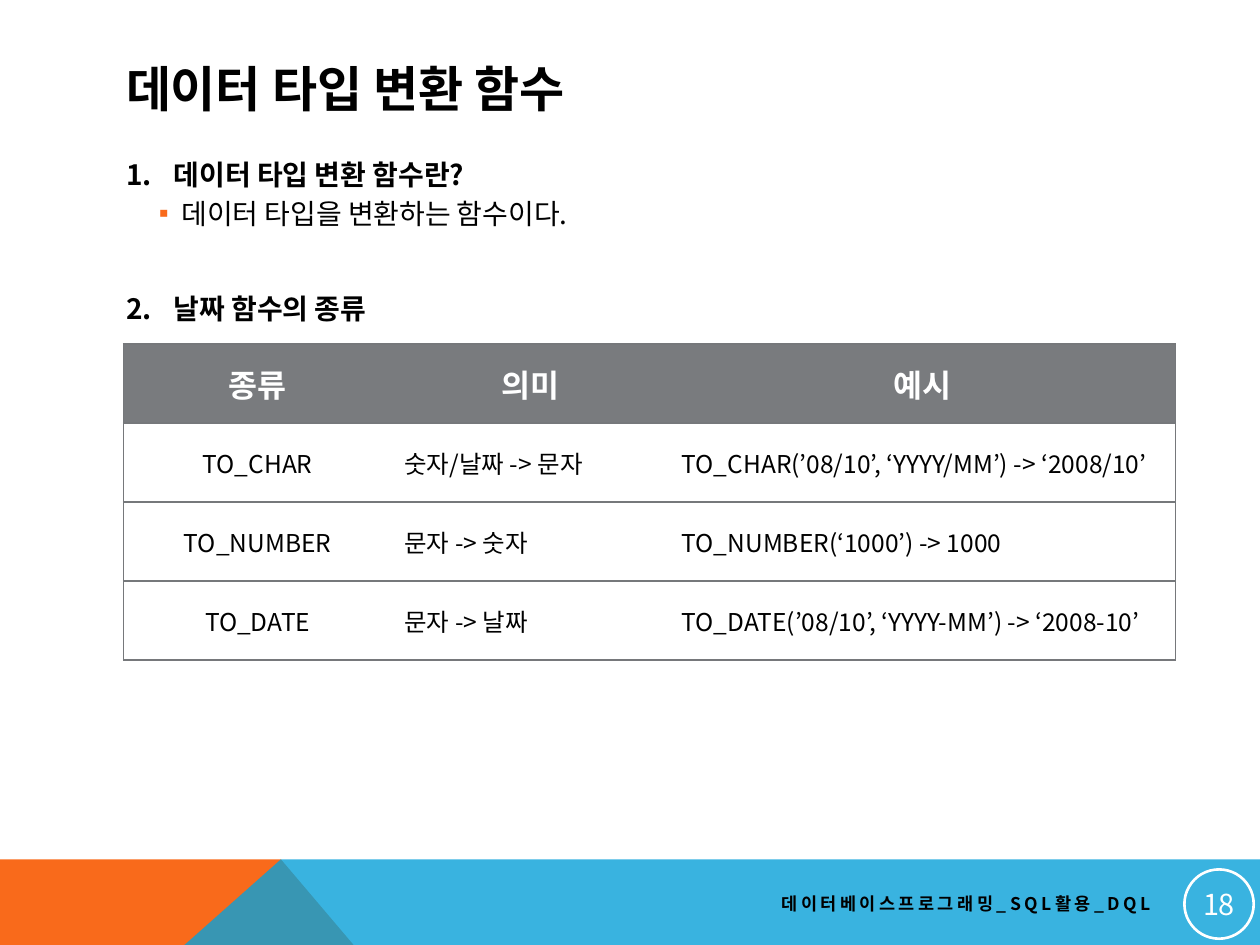
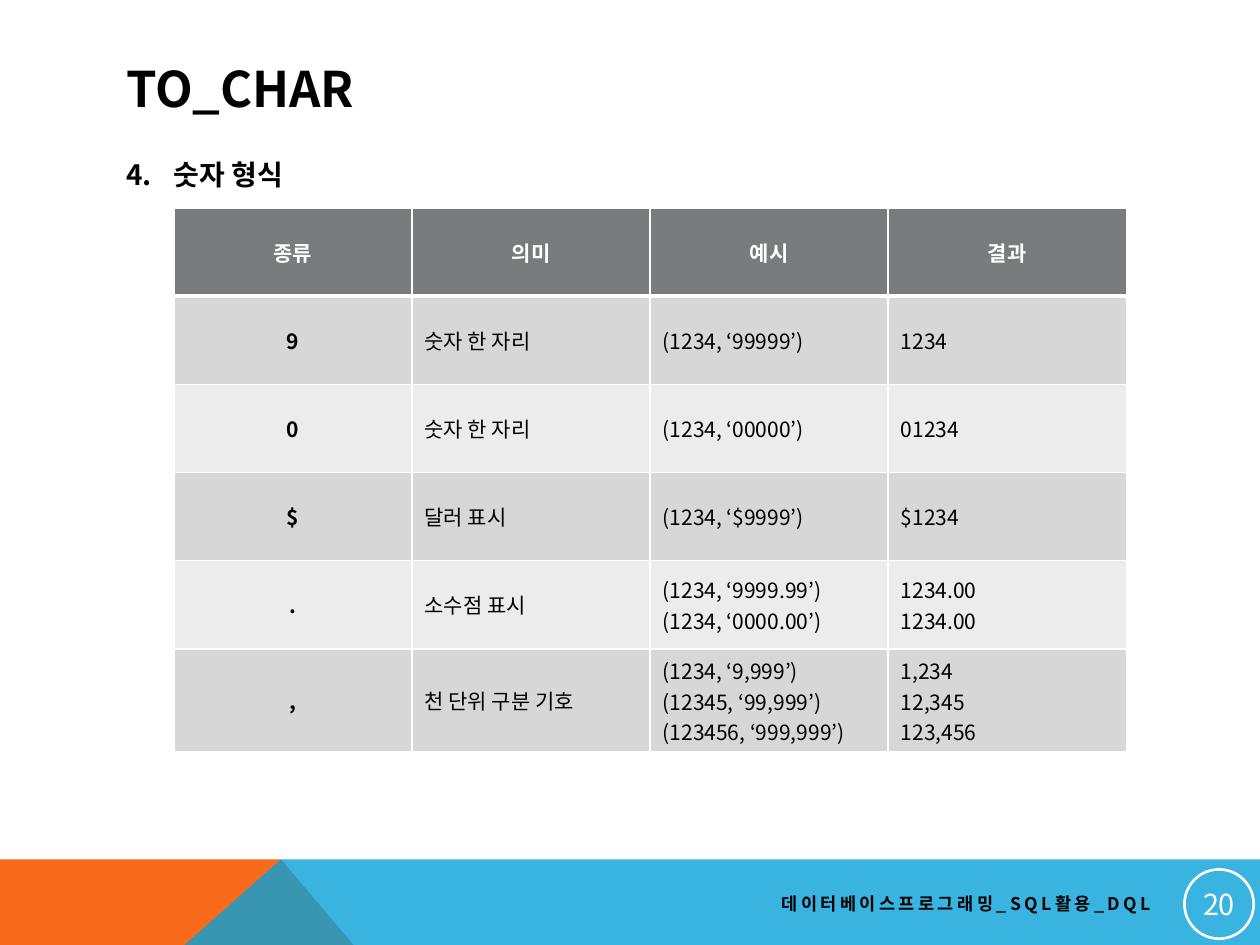
from pptx import Presentation
from pptx.dml.color import RGBColor
from pptx.enum.shapes import MSO_SHAPE
from pptx.enum.text import MSO_ANCHOR, MSO_AUTO_SIZE, PP_ALIGN
from pptx.oxml.ns import qn
from pptx.util import Inches, Pt
from lxml import etree

LEFT, CENTER, RIGHT = PP_ALIGN.LEFT, PP_ALIGN.CENTER, PP_ALIGN.RIGHT
MIDDLE, TOP = MSO_ANCHOR.MIDDLE, MSO_ANCHOR.TOP
FIXED = MSO_AUTO_SIZE.NONE
OVAL = MSO_SHAPE.OVAL

FONT = "Noto Sans CJK KR"
BLACK = RGBColor(0x00, 0x00, 0x00)
WHITE = RGBColor(0xFF, 0xFF, 0xFF)
ORANGE = RGBColor(0xF9, 0x6A, 0x1B)
BLUE = RGBColor(0x08, 0xA1, 0xD9)
HEADER_GREY = RGBColor(0x79, 0x7B, 0x7E)
RULE_GREY = RGBColor(0x76, 0x78, 0x7B)
BAND_DARK = RGBColor(0xD7, 0xD7, 0xD8)
BAND_LIGHT = RGBColor(0xEC, 0xEC, 0xEC)

WIDTH, HEIGHT = 10, 7.5
MARGIN, CONTENT_WIDTH = 0.9, 8.22
BAND_TOP, BAND_BOTTOM = 6.82, 8.8
PEAK, ORANGE_FOOT = 2.23, 3.91
LINE_SPACING = 1.0
EDGES = ("L", "R", "T", "B")
FOOTER = "데이터베이스프로그래밍_SQL활용_DQL"

CONVERSIONS = [
    ("종류", "의미", "예시"),
    ("TO_CHAR", "숫자/날짜 -> 문자", "TO_CHAR(’08/10’, ‘YYYY/MM’) -> ‘2008/10’"),
    ("TO_NUMBER", "문자 -> 숫자", "TO_NUMBER(‘1000’) -> 1000"),
    ("TO_DATE", "문자 -> 날짜", "TO_DATE(’08/10’, ‘YYYY-MM’) -> ‘2008-10’"),
]
NUMBER_FORMATS = [
    ("종류", "의미", "예시", "결과"),
    ("9", "숫자 한 자리", "(1234, ‘99999’)", "1234"),
    ("0", "숫자 한 자리", "(1234, ‘00000’)", "01234"),
    ("$", "달러 표시", "(1234, ‘$9999’)", "$1234"),
    (".", "소수점 표시", "(1234, ‘9999.99’)\n(1234, ‘0000.00’)", "1234.00\n1234.00"),
    (",", "천 단위 구분 기호",
     "(1234, ‘9,999’)\n(12345, ‘99,999’)\n(123456, ‘999,999’)",
     "1,234\n12,345\n123,456"),
]


def add_child(parent, tag, **attributes):
    return etree.SubElement(parent, qn(tag), attributes)


def set_font(paragraph, size, color=BLACK, bold=False, align=LEFT):
    paragraph.alignment = align
    font = paragraph.font
    font.size, font.bold, font.name = Pt(size), bold, FONT
    font.color.rgb = color
    properties = paragraph._p.get_or_add_pPr().get_or_add_defRPr()
    add_child(properties, "a:ea", typeface=FONT)
    return properties


def place(shape, left, top, width, height):
    shape.left, shape.top = Inches(left), Inches(top)
    shape.width, shape.height = Inches(width), Inches(height)


def add_band(slide, points, color):
    corners = [(Inches(x), Inches(y)) for x, y in points]
    builder = slide.shapes.build_freeform(*corners[0])
    builder.add_line_segments(corners[1:])
    band = builder.convert_to_shape()
    band.shadow.inherit = False
    band.fill.solid()
    band.fill.fore_color.rgb = color
    band.line.fill.background()
    return band


def add_layout_bands(slide):
    orange = add_band(slide, [(0, BAND_BOTTOM), (0, BAND_TOP), (PEAK, BAND_TOP),
                              (ORANGE_FOOT, BAND_BOTTOM)], ORANGE)
    blue = add_band(slide, [(0, BAND_BOTTOM), (PEAK, BAND_TOP), (WIDTH, BAND_TOP),
                            (WIDTH, BAND_BOTTOM)], BLUE)
    add_child(blue._element.spPr.find(".//" + qn("a:srgbClr")), "a:alpha", val="80000")
    layout_tree = slide.slide_layout.element.cSld.spTree
    for position, band in enumerate((orange, blue), 2):
        layout_tree.insert(position, band._element)


def add_title(slide, text):
    title = slide.shapes.title
    place(title, MARGIN, 0.4, CONTENT_WIDTH, 0.6)
    title.text_frame.text = text
    title.text_frame.vertical_anchor = MIDDLE
    title.text_frame.auto_size = FIXED
    set_font(title.text_frame.paragraphs[0], 28, bold=True)


def add_footer(slide, number):
    footer = slide.shapes.add_textbox(0, 0, 0, 0)
    place(footer, 4.06, 7.02, 5.17, 0.3)
    frame = footer.text_frame
    frame.word_wrap = True
    frame.vertical_anchor = MIDDLE
    frame.text = FOOTER
    set_font(frame.paragraphs[0], 10, bold=True, align=RIGHT).set("spc", "200")

    badge = slide.shapes.add_shape(OVAL, Inches(9.4), Inches(6.9), Inches(0.55), Inches(0.55))
    badge.shadow.inherit = False
    badge.fill.background()
    badge.line.color.rgb = WHITE
    badge.line.width = Pt(1.5)
    frame = badge.text_frame
    frame.margin_left = frame.margin_right = Inches(0.01)
    frame.margin_top = frame.margin_bottom = Inches(0.01)
    frame.vertical_anchor = MIDDLE
    frame.text = str(number)
    set_font(frame.paragraphs[0], 16.5, WHITE, align=CENTER)


def set_indent(paragraph, left, hanging):
    properties = paragraph._p.get_or_add_pPr()
    properties.set("marL", str(Inches(left)))
    properties.set("indent", str(-Inches(hanging)))
    return properties


def number_heading(paragraph, start):
    properties = set_indent(paragraph, 0.38, 0.38)
    numbering = add_child(properties, "a:buAutoNum", type="arabicPeriod")
    if start > 1:
        numbering.set("startAt", str(start))


def bullet_detail(paragraph):
    paragraph.level = 1
    properties = set_indent(paragraph, 0.44, 0.18)
    add_child(add_child(properties, "a:buClr"), "a:srgbClr", val=str(ORANGE))
    add_child(properties, "a:buChar", char="▪")


def add_outline(slide, height, entries, start=1):
    body = slide.placeholders[1]
    place(body, MARGIN, 1.2, CONTENT_WIDTH, height)
    frame = body.text_frame
    frame.text = "\n".join(text for text, _, _ in entries)
    frame.vertical_anchor = TOP
    frame.auto_size = FIXED
    for paragraph, (_, is_heading, gap) in zip(frame.paragraphs, entries):
        if is_heading:
            number_heading(paragraph, start)
        else:
            bullet_detail(paragraph)
        paragraph.line_spacing = LINE_SPACING
        paragraph.space_before = Pt(gap)
        set_font(paragraph, 16, bold=is_heading)


def set_borders(cell, borders):
    properties = cell._tc.get_or_add_tcPr()
    for position, edge in enumerate(EDGES):
        color, width = borders.get(edge, (None, 0))
        line = etree.Element(qn("a:ln" + edge), w=str(Pt(width)))
        if color is None:
            add_child(line, "a:noFill")
        else:
            add_child(add_child(line, "a:solidFill"), "a:srgbClr", val=str(color))
        properties.insert(position, line)


def framed_borders(row, column, last_column):
    rule = (RULE_GREY, 0.75)
    borders = {"T": rule, "B": rule}
    if column == 0:
        borders["L"] = rule
    if column == last_column:
        borders["R"] = rule
    return borders


def grid_borders(row, column, last_column):
    borders = {edge: (WHITE, 1) for edge in EDGES}
    if row == 0:
        borders["B"] = (WHITE, 3)
    elif row == 1:
        borders["T"] = (WHITE, 3)
    return borders


def add_grid(slide, rows, left, top, widths, heights, sizes, bands, borders, bold_first):
    frame = slide.shapes.add_table(len(rows), len(widths), Inches(left), Inches(top),
                                   Inches(sum(widths)), Inches(sum(heights)))
    table = frame.table
    table.horz_banding = False
    for column, width in zip(table.columns, widths):
        column.width = Inches(width)
    for r, (texts, height) in enumerate(zip(rows, heights)):
        table.rows[r].height = Inches(height)
        is_header = r == 0
        fill = HEADER_GREY if is_header else bands[(r - 1) % len(bands)]
        for c, text in enumerate(texts):
            cell = table.cell(r, c)
            cell.text = text
            cell.vertical_anchor = MIDDLE
            if fill is None:
                cell.fill.background()
            else:
                cell.fill.solid()
                cell.fill.fore_color.rgb = fill
            set_borders(cell, borders(r, c, len(widths) - 1))
            for paragraph in cell.text_frame.paragraphs:
                set_font(paragraph, sizes[0] if is_header else sizes[1],
                         WHITE if is_header else BLACK,
                         is_header or (bold_first and c == 0),
                         CENTER if is_header or c == 0 else LEFT)


def add_page(deck, title, number):
    slide = deck.slides.add_slide(deck.slide_layouts[1])
    add_title(slide, title)
    add_footer(slide, number)
    return slide


def main():
    deck = Presentation()
    deck.slide_width, deck.slide_height = Inches(WIDTH), Inches(HEIGHT)

    conversion = add_page(deck, "데이터 타입 변환 함수", 18)
    add_layout_bands(conversion)
    add_outline(conversion, 3.91, [
        ("데이터 타입 변환 함수란?", True, 0),
        ("데이터 타입을 변환하는 함수이다.", False, 3),
        ("날짜 함수의 종류", True, 35),
    ])
    add_grid(conversion, CONVERSIONS, 0.98, 2.73, [2.13, 2.2, 4.02], [2.51 / 4] * 4, (18, 14),
             [None], framed_borders, False)

    formats = add_page(deck, "TO_CHAR", 20)
    add_outline(formats, 5.3, [("숫자 형식", True, 0)], start=4)
    add_grid(formats, NUMBER_FORMATS, 1.38, 1.65, [1.89] * 4, [0.7] * 5 + [0.82], (12, 12),
             [BAND_DARK, BAND_LIGHT], grid_borders, True)

    deck.save("out.pptx")


main()
